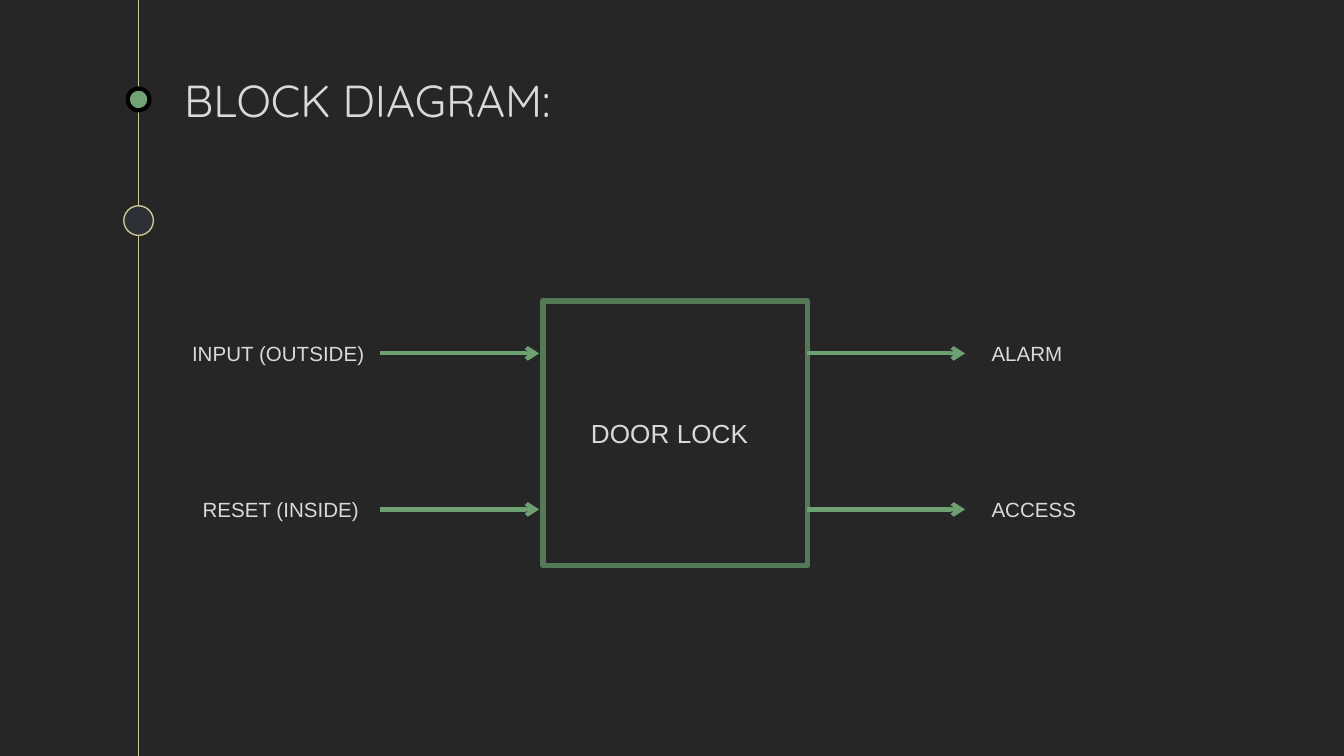
"""Build the block diagram slide of a door lock with its inputs and outputs."""
from lxml.etree import SubElement
from pptx import Presentation
from pptx.dml.color import RGBColor
from pptx.enum.shapes import MSO_CONNECTOR as Connector, MSO_SHAPE as Shape
from pptx.enum.text import MSO_ANCHOR as Anchor, PP_ALIGN as Align
from pptx.oxml.ns import qn
from pptx.util import Cm, Pt

TITLE = "BLOCK DIAGRAM:"
BLOCK = "DOOR LOCK"
SIGNALS = [
    {"input": ("INPUT (OUTSIDE)", 3.81), "output": ("ALARM", 2.41)},
    {"input": ("RESET (INSIDE)", 3.61), "output": ("ACCESS", 2.36)},
]
COLOURS = {
    "background": "262626", "text": "D9D9D9", "rail": "CEC597",
    "marker": "72A376", "ring": "000000", "stop": "2E3037",
    "block": "547957", "arrow": "6EA172",
}
MARKERS = [
    (1.88, 0.41, "marker", "ring", 2.25),
    (4.17, 0.56, "stop", "rail", 0.75),
]
WIDTH, HEIGHT = 25.4, 14.29
RAIL_X = 2.62
BLOCK_LEFT, BLOCK_TOP, BLOCK_SIDE = 10.26, 5.69, 5.0
FIRST_ROW, ROW_STEP = 6.68, 2.95
INPUT_START, INPUT_END = 7.19, 10.19
OUTPUT_START, OUTPUT_END = BLOCK_LEFT + BLOCK_SIDE, 18.24
OUTPUT_LABEL, LABEL_HEIGHT = 18.49, 0.71


def colour(role):
    return RGBColor.from_string(COLOURS[role])


def apply(target, values):
    for attribute, value in values.items():
        setattr(target, attribute, value)


def style_line(line, role, width):
    line.color.rgb = colour(role)
    line.width = Pt(width)


def write(frame, words, size, font, frame_values):
    apply(frame, {"word_wrap": True, **frame_values})
    paragraph = frame.paragraphs[0]
    paragraph.alignment = Align.LEFT
    run = paragraph.add_run()
    run.text = words
    apply(run.font, {"size": Pt(size), "name": font})
    run.font.color.rgb = colour("text")


def add_label(slide, words, left, top, width, height, size=11):
    label = slide.shapes.add_textbox(Cm(left), Cm(top), Cm(width), Cm(height))
    write(label.text_frame, words, size, "Arial", {"vertical_anchor": Anchor.TOP})


def add_line(slide, start, end, role, width, arrow=False):
    connector = slide.shapes.add_connector(
        Connector.STRAIGHT, *(Cm(value) for value in (*start, *end)))
    style_line(connector.line, role, width)
    properties = connector._element.spPr
    if arrow:
        SubElement(properties.find(qn("a:ln")), qn("a:tailEnd"), type="arrow")
    SubElement(properties, qn("a:effectLst"))


def add_outline(slide, preset, left, top, side, role, width, fill=None):
    outline = slide.shapes.add_shape(preset, Cm(left), Cm(top), Cm(side), Cm(side))
    outline.shadow.inherit = False
    style_line(outline.line, role, width)
    if fill:
        outline.fill.solid()
        outline.fill.fore_color.rgb = colour(fill)
    else:
        outline.fill.background()


def add_title(slide):
    title = slide.shapes.title
    apply(title, {"left": Cm(3.23), "top": Cm(1.68),
                  "width": Cm(19.05), "height": Cm(0.97)})
    margins = {f"margin_{side}": Cm(0.25) for side in ("left", "top", "right", "bottom")}
    write(title.text_frame, TITLE, 24, "Quicksand",
          {"vertical_anchor": Anchor.BOTTOM, **margins})


def add_rail(slide):
    add_line(slide, (RAIL_X, 0), (RAIL_X, HEIGHT), "rail", 0.75)
    for centre, diameter, fill, edge, width in MARKERS:
        add_outline(slide, Shape.OVAL, RAIL_X - diameter / 2,
                    centre - diameter / 2, diameter, edge, width, fill)


def add_diagram(slide):
    add_outline(slide, Shape.RECTANGLE, BLOCK_LEFT, BLOCK_TOP, BLOCK_SIDE, "block", 3)
    for row, signal in enumerate(SIGNALS):
        y = FIRST_ROW + row * ROW_STEP
        for start, end in ((INPUT_START, INPUT_END), (OUTPUT_START, OUTPUT_END)):
            add_line(slide, (start, y), (end, y), "arrow", 2.25, arrow=True)
        for side, (words, width) in signal.items():
            left = INPUT_START - width if side == "input" else OUTPUT_LABEL
            add_label(slide, words, left, y - LABEL_HEIGHT / 2, width, LABEL_HEIGHT)
    add_label(slide, BLOCK, 10.92, 7.77, 3.53, 0.84, size=14)


def main():
    deck = Presentation()
    apply(deck, {"slide_width": Cm(WIDTH), "slide_height": Cm(HEIGHT)})
    slide = deck.slides.add_slide(deck.slide_layouts.get_by_name("Title Only"))
    slide.background.fill.solid()
    slide.background.fill.fore_color.rgb = colour("background")
    add_rail(slide)
    add_title(slide)
    add_diagram(slide)
    deck.save("out.pptx")


if __name__ == "__main__":
    main()
